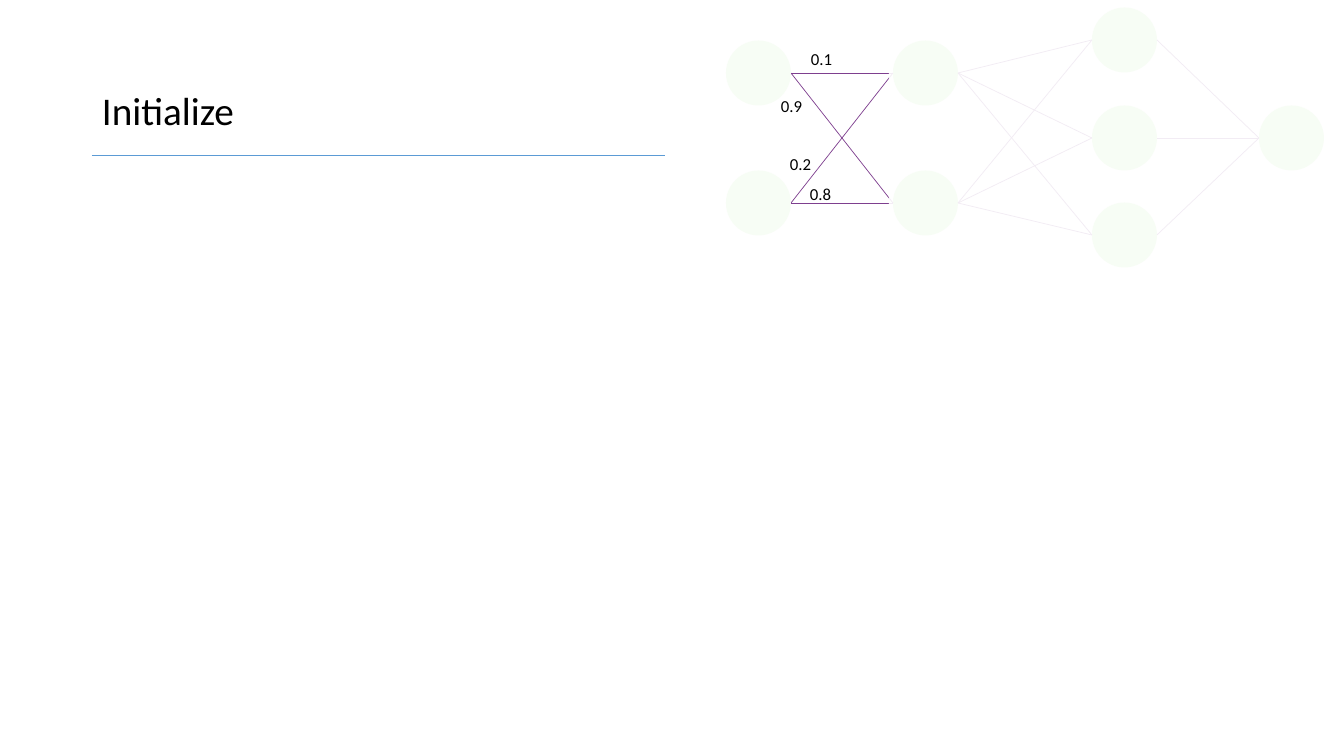
from itertools import pairwise, product
from pptx import Presentation
from pptx.dml.color import RGBColor
from pptx.enum.shapes import MSO_CONNECTOR as Link, MSO_SHAPE as Shape
from pptx.enum.text import MSO_ANCHOR as Anchor, MSO_AUTO_SIZE as Fit
from pptx.oxml.ns import qn
from pptx.util import Pt
from lxml.etree import SubElement

SCALE = 914400 / 100.8
SIZE = 65
LAYERS = [(726, [73, 203]), (893, [73, 203]), (1092, [40, 138, 235]), (1259, [138])]
VEILS = [(715, 9, 76, 296), (889, 5, 445, 296)]
LABELS = [("0.1", 801, 44), ("0.2", 780, 149), ("0.9", 771, 91), ("0.8", 800, 179)]


def px(*nums):
    """Turn pixel lengths into EMU."""
    return [round(n * SCALE) for n in nums]


def paint(color, code):
    """Set a colour format from a hex string."""
    color.rgb = RGBColor.from_string(code)


def add_form(shapes, kind, box, code, alpha=None):
    """Add a filled shape without outline, see-through if alpha is given."""
    form = shapes.add_shape(kind, *px(*box))
    form.shadow.inherit = False
    form.line.fill.background()
    form.fill.solid()
    paint(form.fill.fore_color, code)
    if alpha is not None:
        tone = form.fill._xPr.find(qn("a:solidFill"))[0]
        SubElement(tone, qn("a:alpha"), val=str(alpha * 1000))


def add_line(shapes, ends, code):
    """Add a thin straight line."""
    line = shapes.add_connector(Link.STRAIGHT, *px(*ends))
    line.line.width = Pt(0.5)
    paint(line.line.color, code)
    SubElement(line._element.spPr, qn("a:effectLst"))


def add_text(shapes, text, box, size, wrap=False):
    """Add a box with one line of text."""
    frame = shapes.add_textbox(*px(*box)).text_frame
    frame.word_wrap = wrap
    frame.auto_size = Fit.NONE if wrap else Fit.SHAPE_TO_FIT_TEXT
    para = frame.paragraphs[0]
    run = para.add_run()
    run.text = text
    run.font.name = "Calibri"
    run.font.size = Pt(size)
    paint(run.font.color, "000000")
    return frame


def add_net(shapes):
    """Add the network nodes and the edges between neighbouring layers."""
    for left, rows in LAYERS:
        for mid in rows:
            add_form(shapes, Shape.OVAL, (left, mid - SIZE / 2, SIZE, SIZE), "B2EF9B")
    for (left, starts), (right, stops) in pairwise(LAYERS):
        for start, stop in product(starts, stops):
            add_line(shapes, (left + SIZE, start, right, stop), "7E3F8F")


def main():
    """Build the slide and save it."""
    deck = Presentation()
    deck.slide_width, deck.slide_height = px(1344, 756)
    shapes = deck.slides.add_slide(deck.slide_layouts[6]).shapes
    add_net(shapes.add_group_shape().shapes)
    title = add_text(shapes, "Initialize", (92, 40, 1159, 146), 28, True)
    title.vertical_anchor = Anchor.MIDDLE
    title.paragraphs[0].line_spacing = 0.9
    add_line(shapes, (92, 155, 665, 155), "5B9BD5")
    for box in VEILS:
        add_form(shapes, Shape.RECTANGLE, box, "FFFFFF", 90)
    for text, left, top in LABELS:
        add_text(shapes, text, (left, top, 42, 30), 12)
    deck.save("out.pptx")


if __name__ == "__main__":
    main()
